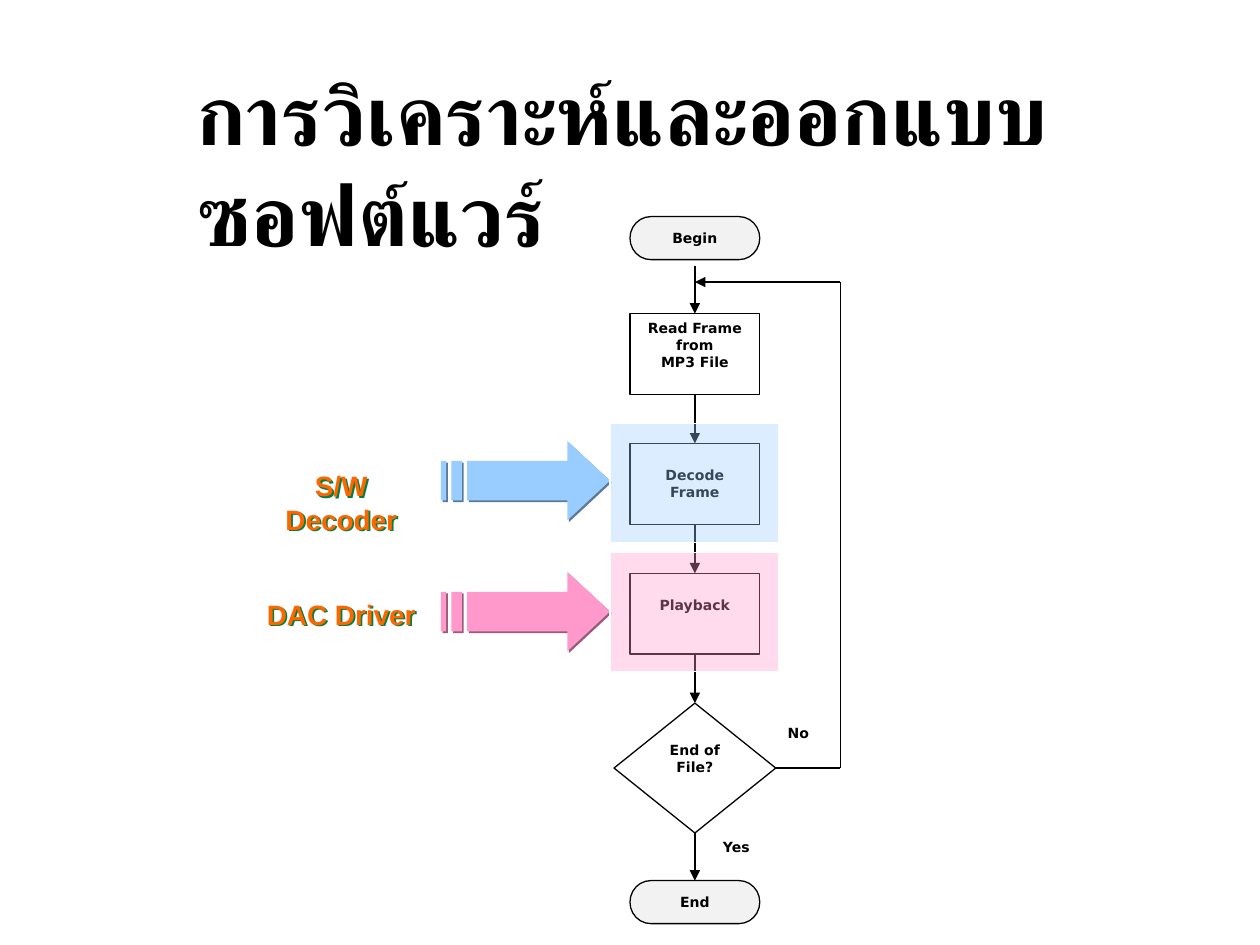
from lxml import etree
from pptx import Presentation
from pptx.dml.color import RGBColor
from pptx.enum.shapes import MSO_CONNECTOR, MSO_SHAPE
from pptx.enum.text import MSO_ANCHOR, MSO_AUTO_SIZE, PP_ALIGN
from pptx.oxml import parse_xml
from pptx.oxml.ns import qn
from pptx.util import Pt

RECTANGLE = MSO_SHAPE.RECTANGLE
DECISION = MSO_SHAPE.FLOWCHART_DECISION
TERMINATOR = MSO_SHAPE.FLOWCHART_TERMINATOR
STRAIGHT = MSO_CONNECTOR.STRAIGHT
LEFT, CENTER = PP_ALIGN.LEFT, PP_ALIGN.CENTER
TOP, MIDDLE = MSO_ANCHOR.TOP, MSO_ANCHOR.MIDDLE
FIT_SHAPE, NO_FIT = MSO_AUTO_SIZE.SHAPE_TO_FIT_TEXT, MSO_AUTO_SIZE.NONE
SHADOW = (
    '<a:effectLst xmlns:a="http://schemas.openxmlformats.org/drawingml/2006/main">'
    '<a:outerShdw dist="{}" dir="2700000" algn="ctr" rotWithShape="0">'
    '<a:srgbClr val="{}"/></a:outerShdw></a:effectLst>'
)
color = RGBColor.from_string

deck = Presentation()
deck.slide_width, deck.slide_height = Pt(720), Pt(540)
page = deck.slides.add_slide(deck.slide_layouts[5])
shapes = page.shapes


def add_box(kind, left, top, width, height, fill, line=None, opacity=100, lines=(),
            align=CENTER, margin_top=3.6):
    box = shapes.add_shape(kind, Pt(left), Pt(top), Pt(width), Pt(height))
    box.shadow.inherit = False
    box.fill.solid()
    box.fill.fore_color.rgb = color(fill)
    if opacity < 100:
        srgb = box.fill._xPr.find(".//" + qn("a:srgbClr"))
        etree.SubElement(srgb, qn("a:alpha"), val=str(opacity * 1000))
    if line:
        box.line.color.rgb = color(line)
        box.line.width = Pt(0.75)
    else:
        box.line.fill.background()
    frame = box.text_frame
    frame.word_wrap = True
    frame.vertical_anchor = TOP
    frame.margin_top = Pt(margin_top)
    for index, text in enumerate(lines):
        para = frame.add_paragraph() if index else frame.paragraphs[0]
        para.text = text
        para.alignment = align
        para.font.name, para.font.size, para.font.bold = "DejaVu Sans", Pt(8), True
        para.font.color.rgb = color("000000")
    return box


def add_line(start, end, arrow=True):
    line = shapes.add_connector(STRAIGHT, *map(Pt, start + end))
    line.line.color.rgb = color("000000")
    line.line.width = Pt(0.75)
    if arrow:
        etree.SubElement(line.line._get_or_add_ln(), qn("a:tailEnd"), type="triangle")
    etree.SubElement(line._element.spPr, qn("a:effectLst"))
    return line


# Title
title = shapes.title
title.left, title.top, title.width, title.height = Pt(105), Pt(48), Pt(561), Pt(90)
title.text_frame.auto_size = NO_FIT
title.text_frame.vertical_anchor = MIDDLE
para = title.text_frame.paragraphs[0]
para.text = "การวิเคราะห์และออกแบบซอฟต์แวร์"
para.alignment = LEFT
para.font.name, para.font.size, para.font.bold = "Times New Roman", Pt(48), True
para.font.color.rgb = color("000000")
etree.SubElement(para.font._element, qn("a:cs"), typeface="Times New Roman")

# Flowchart steps, one pitch apart
MID_X, PITCH = 397.1, 74.2
STEP_LEFT, STEP_WIDTH, STEP_HEIGHT = 360, 74.2, 46.2
FIRST_TOP = 179.2
steps = []
for index, (lines, margin_top) in enumerate([
    (["Read Frame from", "MP3 File"], 3.6),
    (["Decode Frame"], 13.2),
    (["Playback"], 13.2),
]):
    steps.append(add_box(RECTANGLE, STEP_LEFT, FIRST_TOP + index * PITCH, STEP_WIDTH,
                         STEP_HEIGHT, "FFFFFF", "000000", lines=lines,
                         margin_top=margin_top))
decision_top = FIRST_TOP + 3 * PITCH
steps.append(add_box(DECISION, MID_X - 46.2, decision_top, 92.4, 74.2, "FFFFFF",
                     "000000", lines=["End of File?"]))
for text, top in [("Begin", 123.8), ("End", 503.2)]:
    terminator = add_box(TERMINATOR, STEP_LEFT, top, STEP_WIDTH, 24.6, "C0C0C0",
                         "000000", 20, [text])
steps.append(terminator)

# Branch labels
for text, left, top in [("No", 443, 410.4), ("Yes", 406, 475.4)]:
    add_box(RECTANGLE, left, top, 37, 18.5, "FFFFFF", lines=[text], align=LEFT)

# Arrows down the flow
add_line((MID_X, 152), (MID_X, FIRST_TOP)).end_connect(steps[0], 0)
for upper, lower in zip(steps, steps[1:]):
    line = add_line((MID_X, upper.top.pt), (MID_X, lower.top.pt))
    line.begin_connect(upper, 2)
    line.end_connect(lower, 0)

# Loop back to reading
LOOP_X, LOOP_TOP = 480.2, 161.2
loop_bottom = decision_top + 37.1
add_line((MID_X + 46.2, loop_bottom), (LOOP_X, loop_bottom), False).begin_connect(steps[3], 3)
add_line((LOOP_X, loop_bottom), (LOOP_X, LOOP_TOP), False)
add_line((LOOP_X, LOOP_TOP), (MID_X, LOOP_TOP))

# Striped arrows, highlights and their labels
contours = [
    [(15, 11.4), (72.2, 11.4), (72.2, 0), (96.6, 22.7), (72.2, 45.4), (72.2, 34), (15, 34)],
    [(0, 11.4), (3, 11.4), (3, 34), (0, 34)],
    [(6, 11.4), (12, 11.4), (12, 34), (6, 34)],
]
for name, fill, shade, arrow_top, band_top, label_top, label_width in [
    ("S/W Decoder", "99CCFF", "5B7998", 252, 241.9, 264.2, 112.4),
    ("DAC Driver", "FF99CC", "985B79", 326.8, 315.9, 337.7, 99.4),
]:
    builder = shapes.build_freeform(Pt(contours[0][0][0]), Pt(contours[0][0][1]))
    for index, contour in enumerate(contours):
        points = [(Pt(x), Pt(y)) for x, y in contour]
        if index:
            builder.move_to(*points[0])
        builder.add_line_segments(points[1:], close=True)
    arrow = builder.convert_to_shape(Pt(252), Pt(arrow_top))
    arrow.fill.solid()
    arrow.fill.fore_color.rgb = color(fill)
    arrow.line.fill.background()
    arrow._element.spPr.append(parse_xml(SHADOW.format(Pt(1.4), shade)))

    add_box(RECTANGLE, 348.6, band_top, 96.4, 68, fill, "FFFFFF", 35)

    label = shapes.add_textbox(Pt(195 - label_width / 2), Pt(label_top),
                               Pt(label_width), Pt(26.6))
    label.text_frame.word_wrap = False
    label.text_frame.auto_size = FIT_SHAPE
    label._element.spPr.append(parse_xml(SHADOW.format(Pt(1.4), "008040")))
    para = label.text_frame.paragraphs[0]
    para.text = name
    para.alignment = CENTER
    para.font.name, para.font.size, para.font.bold = "Arial", Pt(16), True
    para.font.color.rgb = color("FF6600")

deck.save("out.pptx")
